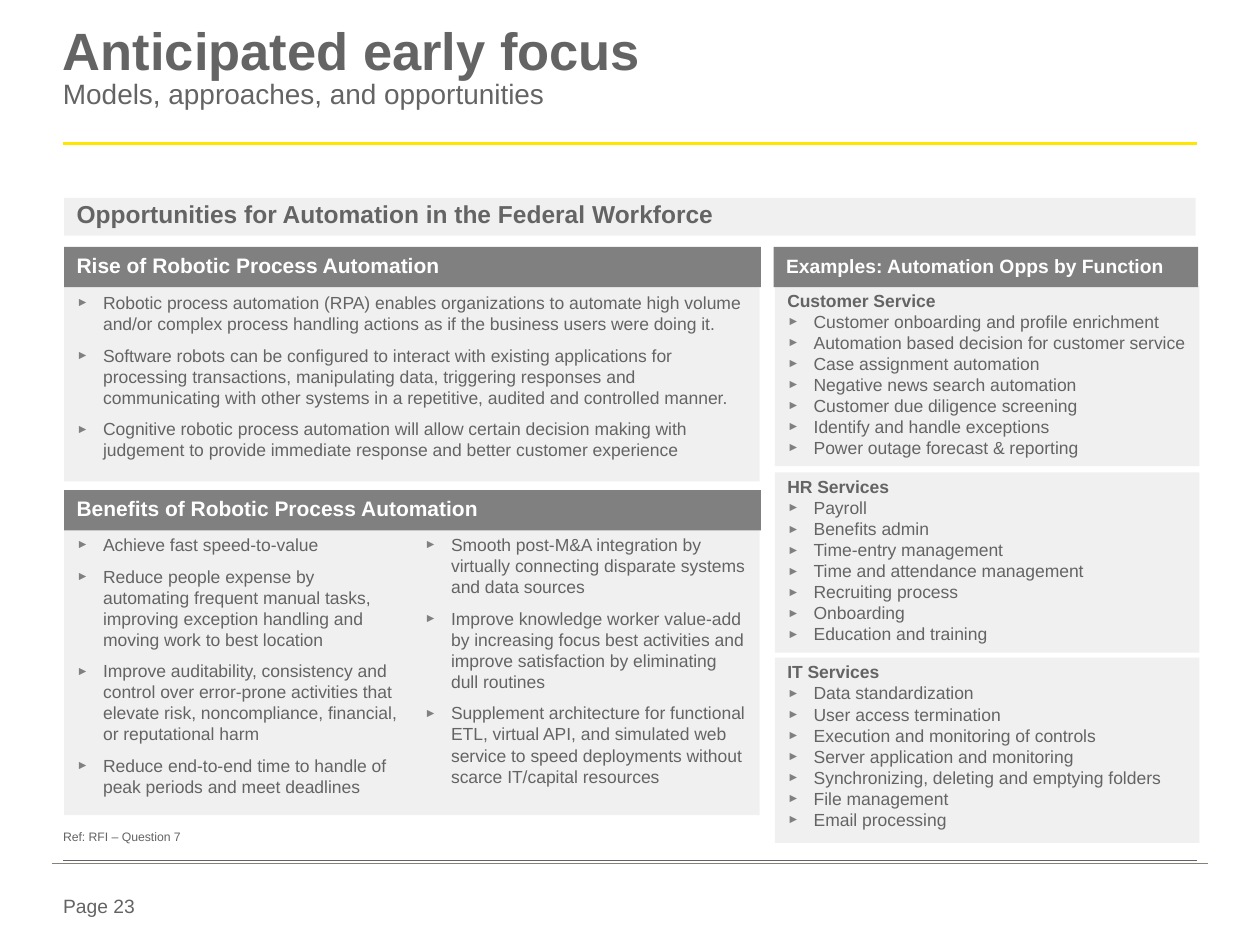
from lxml import etree
from pptx import Presentation
from pptx.dml.color import RGBColor
from pptx.enum import shapes, text
from pptx.oxml import ns
from pptx.util import Inches, Pt

INK = RGBColor(0x64, 0x64, 0x64)
HEADER = RGBColor(0x80, 0x80, 0x80)
PANEL = RGBColor(0xF0, 0xF0, 0xF0)
WHITE = RGBColor(0xFF, 0xFF, 0xFF)
YELLOW = RGBColor(0xFF, 0xE6, 0x00)
FOOT_RULE = RGBColor(0x87, 0x81, 0x78)

RISE = [
    "Robotic process automation (RPA) enables organizations to automate high volume and/or complex process handling actions as if the business users were doing it.",
    "Software robots can be configured to interact with existing applications for processing transactions, manipulating data, triggering responses and communicating with other systems in a repetitive, audited and controlled manner.",
    "Cognitive robotic process automation will allow certain decision making with judgement to provide immediate response and better customer experience",
]
BENEFITS = [
    "Achieve fast speed-to-value",
    "Reduce people expense by automating frequent manual tasks, improving exception handling and moving work to best location",
    "Improve auditability, consistency and control over error-prone activities that elevate risk, noncompliance, financial, or reputational harm",
    "Reduce end-to-end time to handle of peak periods and meet deadlines",
    "Smooth post-M&A integration by virtually connecting disparate systems and data sources",
    "Improve knowledge worker value-add by increasing focus best activities and improve satisfaction by eliminating dull routines",
    "Supplement architecture for functional ETL, virtual API, and simulated web service to speed deployments without scarce IT/capital resources",
]
FUNCTIONS = [
    ("Customer Service", 2.27, 1.43, [
        "Customer onboarding and profile enrichment",
        "Automation based decision for customer service",
        "Case assignment automation",
        "Negative news search automation",
        "Customer due diligence screening",
        "Identify and handle exceptions",
        "Power outage forecast & reporting",
    ]),
    ("HR Services", 3.75, 1.43, [
        "Payroll",
        "Benefits admin",
        "Time-entry management",
        "Time and attendance management",
        "Recruiting process",
        "Onboarding",
        "Education and training",
    ]),
    ("IT Services", 5.22, 1.47, [
        "Data standardization",
        "User access termination",
        "Execution and monitoring of controls",
        "Server application and monitoring",
        "Synchronizing, deleting and emptying folders",
        "File management",
        "Email processing",
    ]),
]


def style_font(font, size, color=INK, bold=False):
    """Apply the slide typeface with a size, colour and weight."""
    font.name, font.size, font.bold = "Arial", Pt(size), bold
    font.color.rgb = color


def set_frame(frame, side=0, edge=0, anchor=text.MSO_ANCHOR.TOP):
    """Set wrapping, margins and anchor of a text frame."""
    frame.word_wrap = True
    frame.margin_left = frame.margin_right = Inches(side)
    frame.margin_top = frame.margin_bottom = Inches(edge)
    frame.vertical_anchor = anchor


def add_bullet(paragraph):
    """Give a paragraph the grey arrow bullet with a hanging indent."""
    props = paragraph._p.get_or_add_pPr()
    props.set("marL", str(Inches(0.21)))
    props.set("indent", str(-Inches(0.21)))
    color = etree.SubElement(props, ns.qn("a:buClr"))
    etree.SubElement(color, ns.qn("a:srgbClr"), val=str(HEADER))
    etree.SubElement(props, ns.qn("a:buSzPct"), val="70000")
    etree.SubElement(props, ns.qn("a:buFont"), typeface="Arial")
    etree.SubElement(props, ns.qn("a:buChar"), char="►")


def add_line(slide, left, right, top, color, width):
    """Draw a horizontal rule."""
    rule = slide.shapes.add_connector(
        shapes.MSO_CONNECTOR.STRAIGHT, Inches(left), Inches(top), Inches(right), Inches(top))
    rule.line.color.rgb, rule.line.width = color, Pt(width)
    etree.SubElement(rule._element.spPr, ns.qn("a:effectLst"))


def add_block(slide, box, fill, edge=0.05, anchor=text.MSO_ANCHOR.TOP):
    """Add a filled rectangle and return its text frame."""
    block = slide.shapes.add_shape(shapes.MSO_SHAPE.RECTANGLE, *map(Inches, box))
    block.shadow.inherit = False
    block.fill.solid()
    block.fill.fore_color.rgb = fill
    block.line.fill.background()
    set_frame(block.text_frame, 0.1, edge, anchor)
    return block.text_frame


def add_heading(slide, box, words, size, fill=HEADER, color=WHITE, anchor=text.MSO_ANCHOR.MIDDLE):
    """Add a heading bar with one bold line."""
    paragraph = add_block(slide, box, fill, anchor=anchor).paragraphs[0]
    paragraph.text = words
    paragraph.alignment = text.PP_ALIGN.LEFT
    paragraph.line_spacing, paragraph.space_after = 0.85, Pt(8)
    style_font(paragraph.font, size, color, True)


def add_list(slide, box, items, title=None, gap=0, edge=0.05):
    """Add a panel of bullets, under a bold title if there is one."""
    frame = add_block(slide, box, PANEL, edge)
    lines = ([title] if title else []) + items
    for index, words in enumerate(lines):
        paragraph = frame.add_paragraph() if index else frame.paragraphs[0]
        is_title = words == title
        paragraph.text = words
        paragraph.alignment = text.PP_ALIGN.LEFT
        paragraph.space_after = Pt(gap)
        if not is_title:
            add_bullet(paragraph)
        style_font(paragraph.font, 10, bold=is_title)
    return frame


def add_label(slide, box, words, size, anchor=text.MSO_ANCHOR.TOP):
    """Add a one-line text box."""
    frame = slide.shapes.add_textbox(*map(Inches, box)).text_frame
    set_frame(frame, anchor=anchor)
    paragraph = frame.paragraphs[0]
    paragraph.text = words
    style_font(paragraph.font, size)


def add_title(slide, title, subtitle):
    """Add the bold title with its subtitle on the next line."""
    frame = slide.shapes.add_textbox(Inches(0.5), Inches(0.22), Inches(9), Inches(0.94)).text_frame
    set_frame(frame)
    paragraph = frame.paragraphs[0]
    paragraph.line_spacing = 0.85
    for words, size, bold in ((title, 30, True), (subtitle, 16, False)):
        if paragraph.runs:
            paragraph.add_line_break()
        run = paragraph.add_run()
        run.text = words
        style_font(run.font, size, bold=bold)


def main():
    """Build the slide and save it."""
    deck = Presentation()
    deck.slide_width, deck.slide_height = Inches(10), Inches(7.5)
    slide = deck.slides.add_slide(deck.slide_layouts[6])

    add_label(slide, (0.5, 7.1, 0.79, 0.22), "Page 23", 11)
    add_line(slide, 0.5, 9.5, 1.14, YELLOW, 1.5)
    add_line(slide, 0.5, 9.5, 6.83, INK, 0.25)
    add_line(slide, 0.41, 9.59, 6.85, FOOT_RULE, 0.25)
    add_title(slide, "Anticipated early focus", "Models, approaches, and opportunities")
    add_heading(slide, (0.51, 1.57, 8.98, 0.3), "Opportunities for Automation in the Federal Workforce",
                14, PANEL, INK, text.MSO_ANCHOR.TOP)

    add_list(slide, (0.51, 2.27, 5.52, 1.55), RISE, gap=6)
    add_heading(slide, (0.51, 1.96, 5.53, 0.32), "Rise of Robotic Process Automation", 12)

    benefits = add_list(slide, (0.51, 4.19, 5.52, 2.28), BENEFITS, gap=6)
    columns = benefits._txBody.bodyPr
    columns.set("numCol", "2")
    columns.set("spcCol", str(Inches(0.2)))
    add_heading(slide, (0.51, 3.89, 5.53, 0.32), "Benefits of Robotic Process Automation", 12)

    for title, top, height, items in FUNCTIONS:
        add_list(slide, (6.15, top, 3.37, height), items, title, edge=0.03)
    add_heading(slide, (6.14, 1.96, 3.37, 0.32), "Examples: Automation Opps by Function", 11)
    add_label(slide, (0.5, 6.58, 1.59, 0.12), "Ref: RFI – Question 7", 7, text.MSO_ANCHOR.BOTTOM)

    deck.save("out.pptx")


if __name__ == "__main__":
    main()
